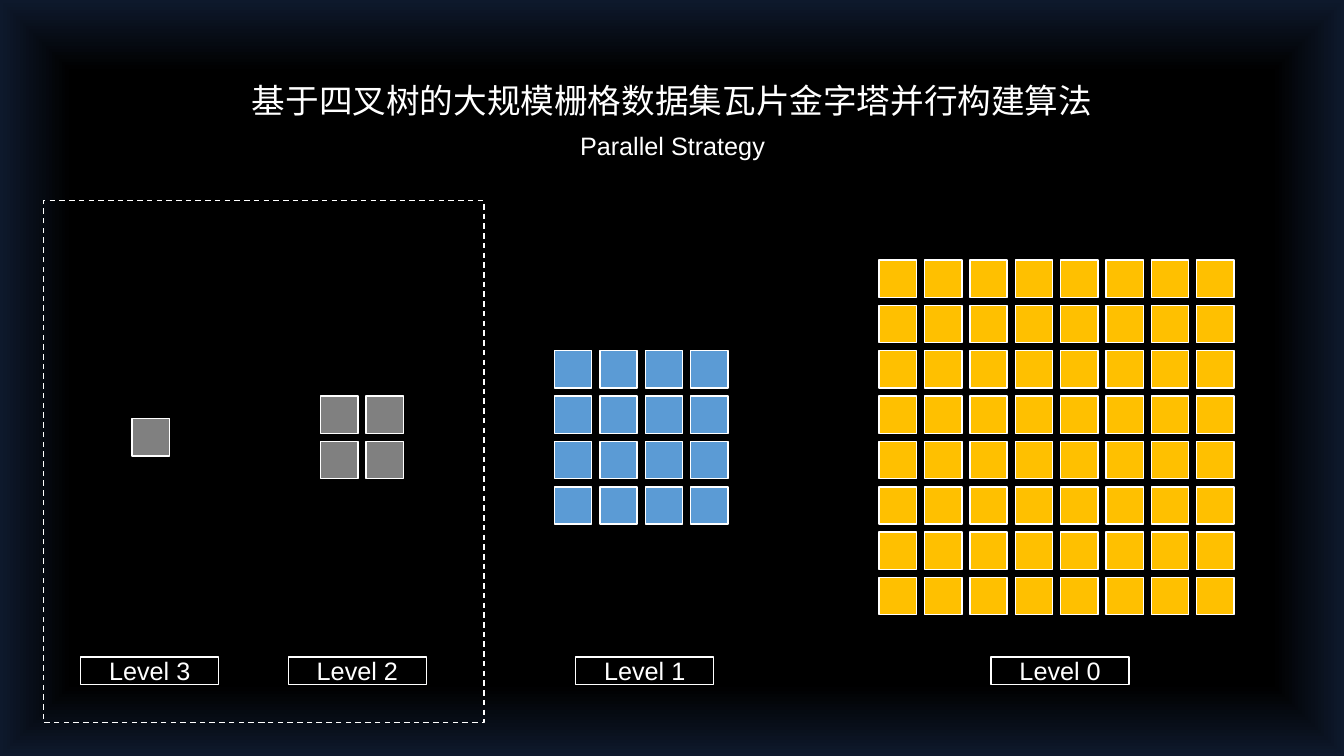
from dataclasses import dataclass
from itertools import product

from lxml.etree import SubElement
from pptx import Presentation
from pptx.dml.color import RGBColor
from pptx.enum.dml import MSO_LINE
from pptx.enum.shapes import MSO_SHAPE
from pptx.enum.text import MSO_ANCHOR, MSO_AUTO_SIZE, PP_ALIGN
from pptx.oxml import parse_xml
from pptx.oxml.ns import nsdecls, qn
from pptx.util import Inches, Pt


@dataclass(frozen=True)
class Theme:
    """Colours, fonts and type sizes of the slide."""
    ink: str = "FFFFFF"
    dark: str = "000000"
    edge: str = "0E192C"
    gray: str = "808080"
    blue: str = "5B9BD5"
    gold: str = "FFC000"
    latin: str = "Arial"
    han: str = "Noto Sans CJK SC"
    head: int = 24
    text: int = 18
    line: int = 1


THEME = Theme()
TILE = 0.37
PITCH = 0.45
MID = 4.34
LEVELS = [
    ("Level 3", 1, 1.31, 0.8, THEME.gray),
    ("Level 2", 2, 3.18, 2.86, THEME.gray),
    ("Level 1", 4, 5.5, 5.71, THEME.blue),
    ("Level 0", 8, 8.72, 9.83, THEME.gold),
]


def paint_back(slide):
    """Fill the background with a gradient that darkens to the centre."""
    stops = [(0, THEME.dark), (61, THEME.dark), (81, THEME.dark), (100, THEME.edge)]
    marks = "".join(
        f'<a:gs pos="{pos * 1000}"><a:srgbClr val="{tint}"/></a:gs>' for pos, tint in stops
    )
    back = parse_xml(
        f'<p:bg {nsdecls("p", "a")}><p:bgPr><a:gradFill rotWithShape="1">'
        f'<a:gsLst>{marks}</a:gsLst><a:path path="shape">'
        '<a:fillToRect l="50000" t="50000" r="50000" b="50000"/></a:path>'
        '</a:gradFill><a:effectLst/></p:bgPr></p:bg>'
    )
    slide.element.find(qn("p:cSld")).insert(0, back)


def write(shape, text, size, face):
    """Put one centred line of text in a shape."""
    frame = shape.text_frame
    frame.text = text
    frame.vertical_anchor = MSO_ANCHOR.MIDDLE
    para = frame.paragraphs[0]
    para.alignment = PP_ALIGN.CENTER
    para.space_before = Pt(0)
    para.font.size = Pt(size)
    para.font.color.rgb = RGBColor.from_string(THEME.ink)
    para.font.name = face
    props = para.font.fill and para._p.pPr.find(qn("a:defRPr"))
    SubElement(props, qn("a:ea")).set("typeface", face)


def set_head(shape, box, text, size, face, wrap):
    """Move a heading placeholder and fill in its text."""
    shape.left, shape.top, shape.width, shape.height = map(Inches, box)
    write(shape, text, size, face)
    shape.text_frame.word_wrap = wrap
    shape.text_frame.auto_size = MSO_AUTO_SIZE.SHAPE_TO_FIT_TEXT


def add_box(slide, box, fill=None):
    """Add a white-edged rectangle, hollow unless a fill is given."""
    shape = slide.shapes.add_shape(MSO_SHAPE.RECTANGLE, *map(Inches, box))
    shape.shadow.inherit = False
    if fill:
        shape.fill.solid()
        shape.fill.fore_color.rgb = RGBColor.from_string(fill)
    else:
        shape.fill.background()
    shape.line.color.rgb = RGBColor.from_string(THEME.ink)
    shape.line.width = Pt(THEME.line)
    return shape


def add_grid(slide, count, left, fill):
    """Add a square grid of tiles centred on the middle line."""
    top = MID - ((count - 1) * PITCH + TILE) / 2
    for row, col in product(range(count), repeat=2):
        add_box(slide, (left + col * PITCH, top + row * PITCH, TILE, TILE), fill)


def main():
    """Build and save the slide."""
    deck = Presentation()
    deck.slide_width, deck.slide_height = Inches(13.33), Inches(7.5)
    slide = deck.slides.add_slide(deck.slide_layouts[0])
    paint_back(slide)
    set_head(slide.shapes.title, (2.38, 0.74, 8.57, 0.5),
             "基于四叉树的大规模栅格数据集瓦片金字塔并行构建算法",
             THEME.head, THEME.han, True)
    set_head(slide.placeholders[1], (5.57, 1.24, 2.2, 0.4),
             "Parallel Strategy", THEME.text, THEME.latin, False)
    for name, count, left, start, fill in LEVELS:
        add_grid(slide, count, left, fill)
        label = add_box(slide, (start, 6.52, 1.37, 0.27))
        write(label, name, THEME.text, THEME.latin)
    frame = add_box(slide, (0.43, 1.99, 4.37, 5.18))
    frame.line.dash_style = MSO_LINE.DASH
    deck.save("out.pptx")


if __name__ == "__main__":
    main()
